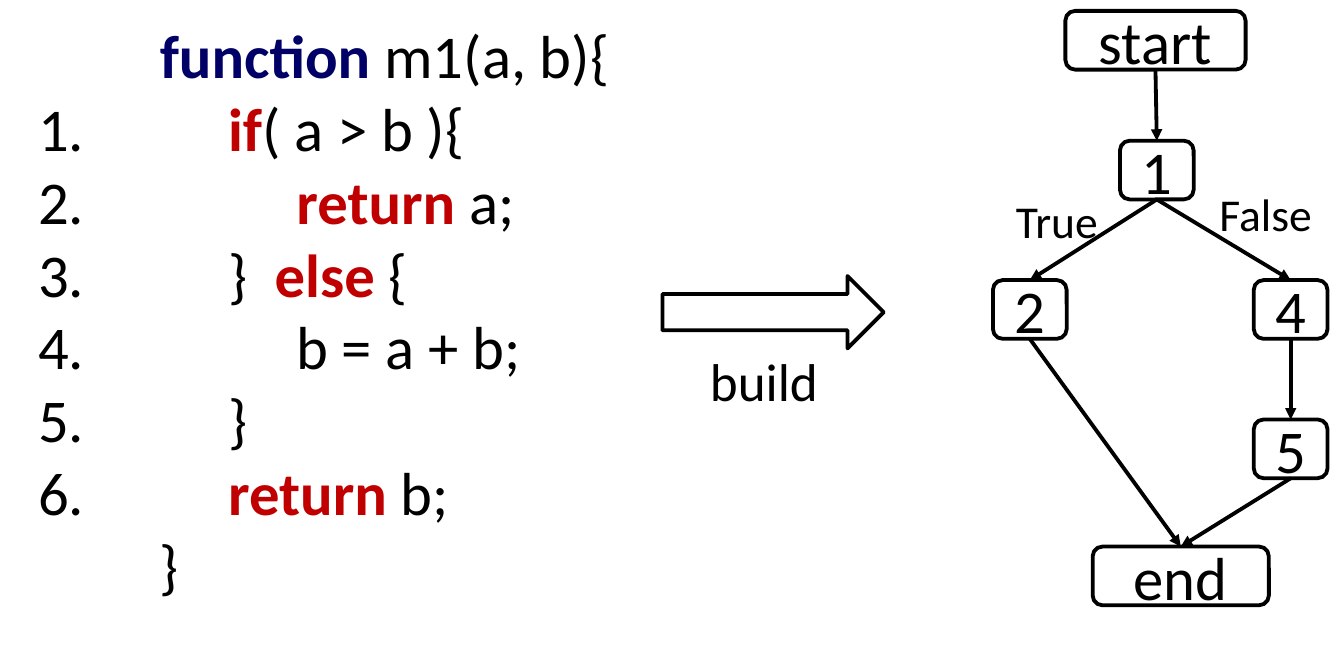
from typing import NamedTuple

from lxml.etree import SubElement
from pptx import Presentation
from pptx.dml.color import RGBColor
from pptx.enum.shapes import MSO_CONNECTOR, MSO_SHAPE
from pptx.enum.text import MSO_ANCHOR, PP_ALIGN
from pptx.oxml.ns import qn
from pptx.util import Emu, Pt

EMU_PER_PX = 9144  # 100 px to the inch
FONT = "Calibri"
BLACK, NAVY, RED = "000000", "000066", "C00000"
LINE_WIDTH = Pt(2)
NODE_HEIGHT = 43
CODE_INSET = 21
CODE_STOPS = (89, 139, 189)  # one tab stop for each indent level


class Node(NamedTuple):
    text: str
    left: int
    top: int
    width: int = 54


class Label(NamedTuple):
    text: str
    left: int
    top: int
    width: int
    height: int
    size: int


class CodeLine(NamedTuple):
    number: str
    level: int
    before: str = ""
    keyword: str = ""
    after: str = ""
    keyword_color: str = RED


NODES = (
    Node("start", 780, 8, 132),
    Node("1", 820, 103),
    Node("2", 727, 205),
    Node("4", 918, 205),
    Node("5", 918, 307),
    Node("end", 800, 400, 129),
)
EDGES = (("start", "1"), ("1", "2"), ("1", "4"),
         ("4", "5"), ("2", "end"), ("5", "end"))
LABELS = (
    Label("build", 510, 250, 137, 57, 28),
    Label("True", 734, 136, 92, 50, 24),
    Label("False", 883, 131, 92, 50, 24),
)
CODE = (
    CodeLine("", 1, keyword="function", after=" m1(a, b){", keyword_color=NAVY),
    CodeLine("1.", 2, keyword="if", after="( a > b ){"),
    CodeLine("2.", 3, keyword="return", after=" a;"),
    CodeLine("3.", 2, "}  ", "else", " {"),
    CodeLine("4.", 3, "b = a + b;"),
    CodeLine("5.", 2, "}"),
    CodeLine("6.", 2, keyword="return", after=" b;"),
    CodeLine("", 1, "}"),
)


def px(length: int) -> Emu:
    return Emu(length * EMU_PER_PX)


def color(value: str) -> RGBColor:
    return RGBColor.from_string(value)


def add_run(paragraph, text: str, size: int, hex_color: str = BLACK,
            bold: bool = False) -> None:
    run = paragraph.add_run()
    run.text = text
    run.font.name = FONT
    run.font.size = Pt(size)
    run.font.bold = bold
    run.font.color.rgb = color(hex_color)


def add_outline(slide, kind: MSO_SHAPE, left: int, top: int, width: int, height: int):
    shape = slide.shapes.add_shape(kind, px(left), px(top), px(width), px(height))
    shape.shadow.inherit = False
    shape.fill.background()
    shape.line.color.rgb = color(BLACK)
    shape.line.width = LINE_WIDTH
    return shape


def add_node(slide, node: Node):
    shape = add_outline(slide, MSO_SHAPE.ROUNDED_RECTANGLE,
                        node.left, node.top, node.width, NODE_HEIGHT)
    shape.text_frame.vertical_anchor = MSO_ANCHOR.MIDDLE
    paragraph = shape.text_frame.paragraphs[0]
    paragraph.alignment = PP_ALIGN.CENTER
    add_run(paragraph, node.text, 32)
    return shape


def add_edge(slide, source, target) -> None:
    connector = slide.shapes.add_connector(MSO_CONNECTOR.STRAIGHT, 0, 0, 0, 0)
    connector.begin_connect(source, 2)
    connector.end_connect(target, 0)
    connector.line.color.rgb = color(BLACK)
    connector.line.width = LINE_WIDTH
    SubElement(connector.line._get_or_add_ln(), qn("a:tailEnd"), type="triangle")
    SubElement(connector._element.spPr, qn("a:effectLst"))


def add_text_frame(slide, left: int, top: int, width: int, height: int):
    box = slide.shapes.add_textbox(px(left), px(top), px(width), px(height))
    box.text_frame.word_wrap = True
    return box.text_frame


def add_label(slide, label: Label) -> None:
    frame = add_text_frame(slide, label.left, label.top, label.width, label.height)
    add_run(frame.paragraphs[0], label.text, label.size)


def set_tab_stops(paragraph) -> None:
    tab_list = SubElement(paragraph._p.get_or_add_pPr(), qn("a:tabLst"))
    for stop in CODE_STOPS:
        SubElement(tab_list, qn("a:tab"), pos=str(px(stop)), algn="l")


def add_code(slide) -> None:
    frame = add_text_frame(slide, 7, 8, 575, 441)
    frame.margin_left = px(CODE_INSET)
    for index, line in enumerate(CODE):
        paragraph = frame.add_paragraph() if index else frame.paragraphs[0]
        set_tab_stops(paragraph)
        add_run(paragraph, line.number + "\t" * line.level + line.before, 32)
        if line.keyword:
            add_run(paragraph, line.keyword, 32, line.keyword_color, bold=True)
            add_run(paragraph, line.after, 32)


def main() -> None:
    presentation = Presentation()
    presentation.slide_width, presentation.slide_height = px(984), px(472)
    slide = presentation.slides.add_slide(presentation.slide_layouts[6])

    # Source code and the build arrow
    add_code(slide)
    add_outline(slide, MSO_SHAPE.RIGHT_ARROW, 485, 202, 162, 53)

    # Control flow graph
    shapes = {node.text: add_node(slide, node) for node in NODES}
    for source, target in EDGES:
        add_edge(slide, shapes[source], shapes[target])

    # Captions
    for label in LABELS:
        add_label(slide, label)

    presentation.save("out.pptx")


if __name__ == "__main__":
    main()
